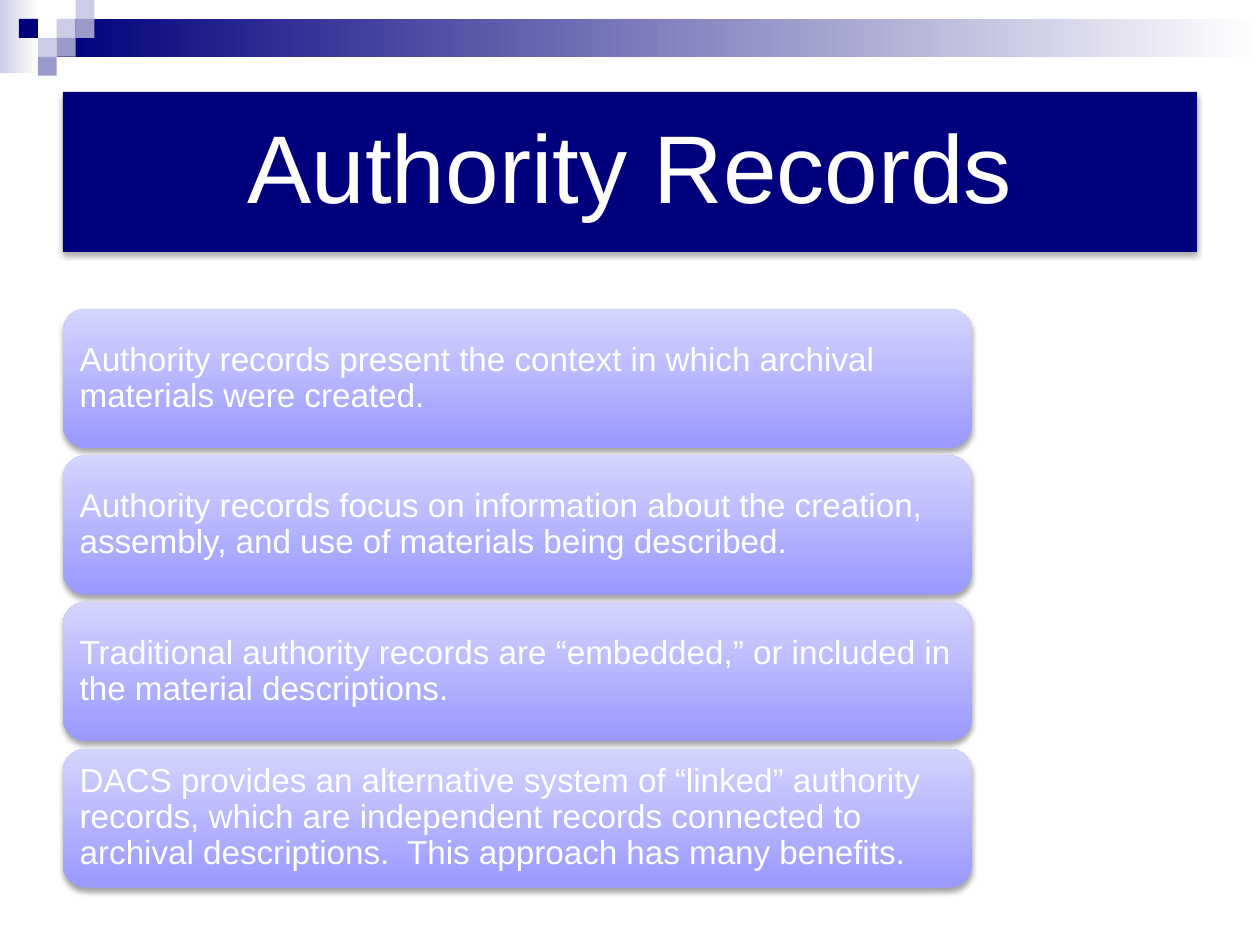
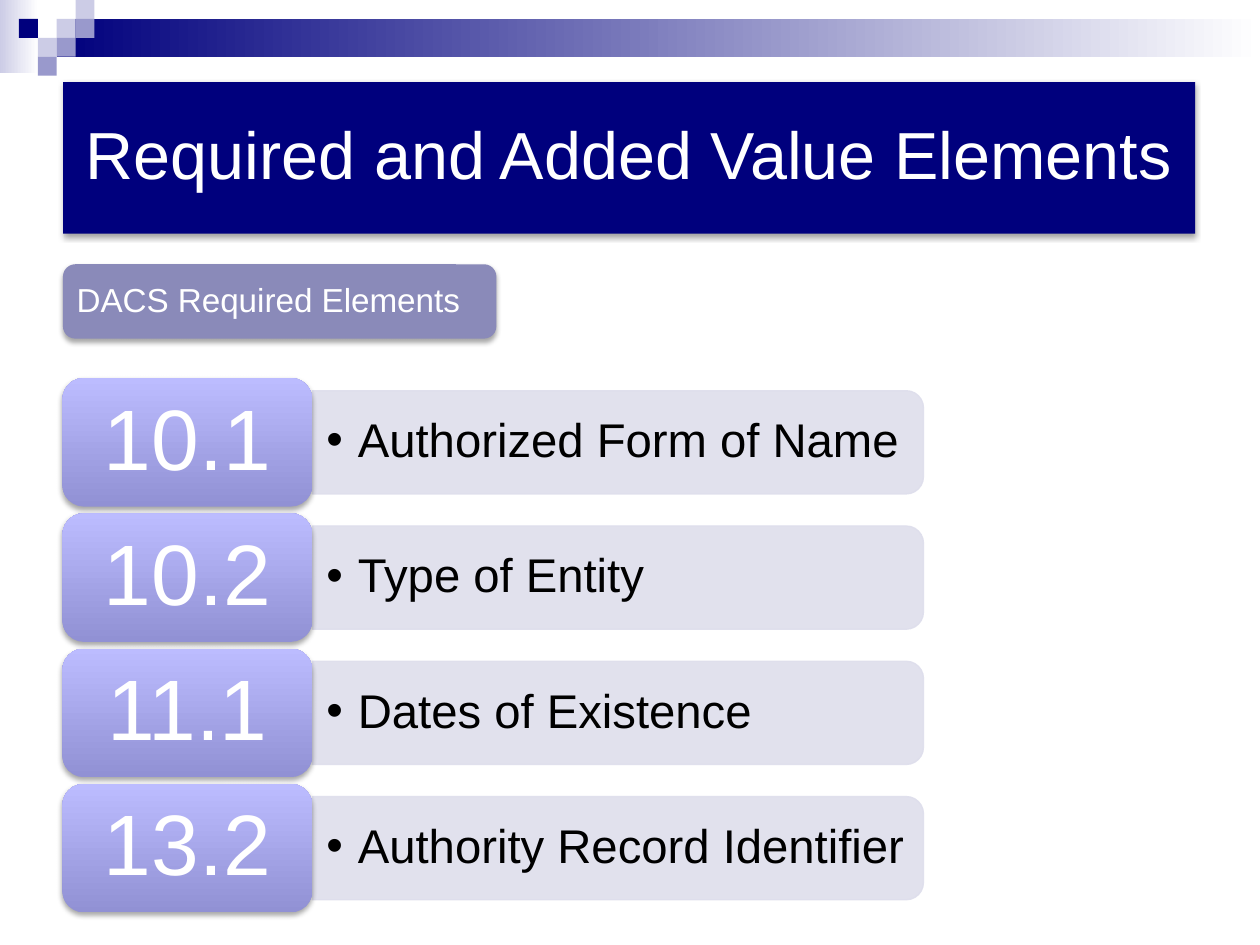
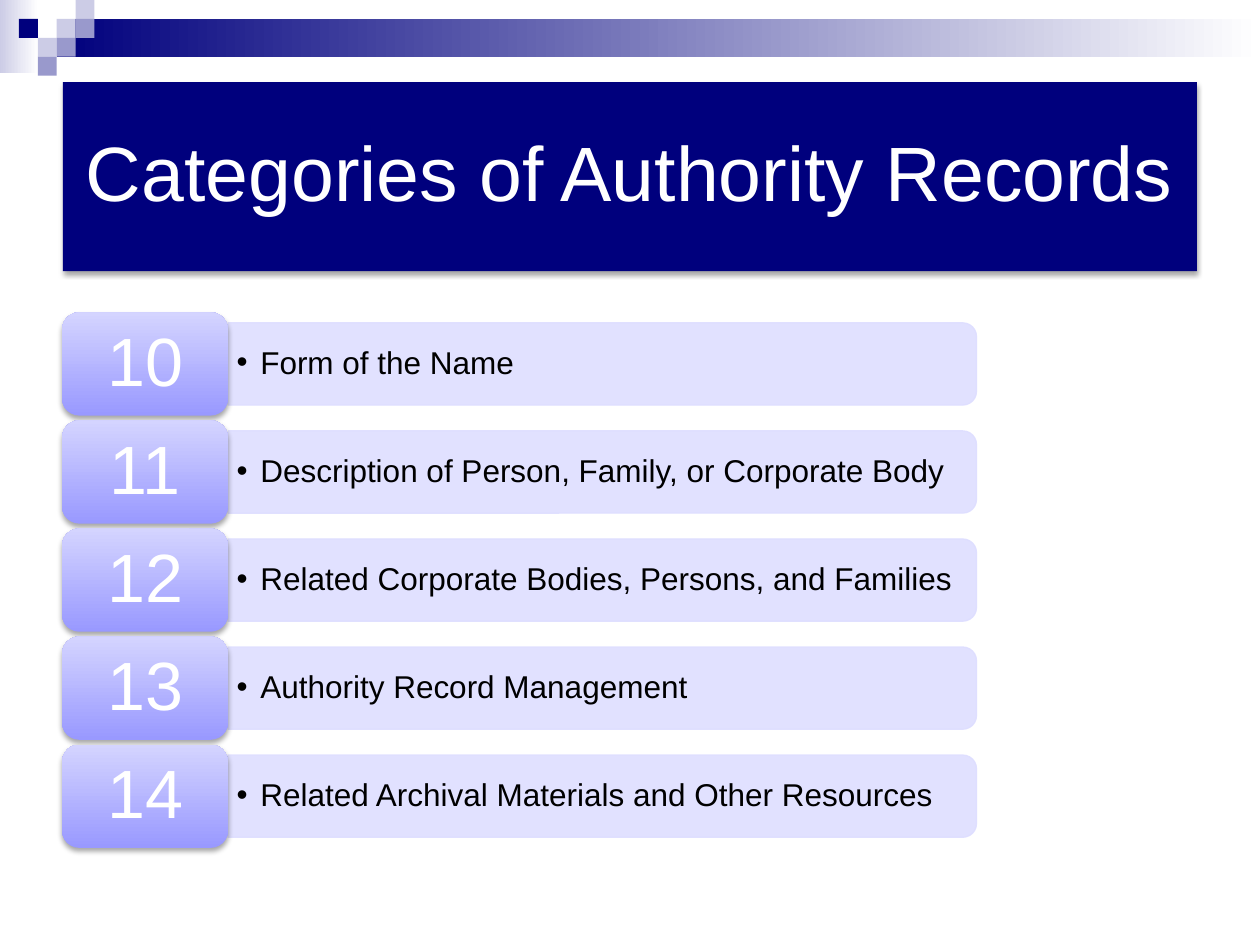
"""Builds three slides on authority records: cards and numbered lists under a banner."""
from lxml import etree
from pptx import Presentation
from pptx.dml.color import RGBColor
from pptx.enum.shapes import MSO_SHAPE
from pptx.enum.text import MSO_ANCHOR, PP_ALIGN
from pptx.oxml.ns import qn
from pptx.util import Pt

NAVY, WHITE, BLACK = "00007D", "FFFFFF", "000000"
MIST, STEEL, SLATE = "CCCCE6", "9999CC", "8A8AB9"
LILAC = ("9999FF", "D4D4FF")
DUSK = ("9191D4", "BCBCFF")
FONT = "Arial"
CELL = 10.8
CHECKERS = [(3, 1, MIST), (4, 0, MIST), (4, 1, STEEL), (2, 2, MIST),
            (1, 1, NAVY), (3, 2, STEEL), (2, 3, STEEL)]

CONTEXT = {
    "title": "Authority Records",
    "banner": (36, 52.5, 648, 91.5), "size": 55, "inset": 16.5,
    "cards": [
        "Authority records present the context in which archival materials were created.",
        "Authority records focus on information about the creation, assembly, and use of "
        "materials being described.",
        "Traditional authority records are “embedded,” or included in the material descriptions.",
        "DACS provides an alternative system of “linked” authority records, which are independent "
        "records connected to archival descriptions.  This approach has many benefits.",
    ],
}
REQUIRED = {
    "title": "Required and Added Value Elements",
    "banner": (36, 47, 647, 86.5), "size": 38, "inset": 11.5,
    "label": "DACS Required Elements",
    "rows": [("10.1", "Authorized Form of Name"), ("10.2", "Type of Entity"),
             ("11.1", "Dates of Existence"), ("13.2", "Authority Record Identifier")],
    "tile": (35.7, 216, 142.8, 73.5), "step": 77.3, "tile_fill": DUSK,
    "tile_size": 49, "tile_inset": (14, 7),
    "bar": (349.2, 59), "bar_fill": "DEDEEC",
    "bar_size": 27, "bar_inset": (8, 4), "indent": 18,
}
CATEGORIES = {
    "title": "Categories of Authority Records",
    "banner": (36, 47, 648, 108), "size": 44, "inset": 13,
    "rows": [("10", "Form of the Name"),
             ("11", "Description of Person, Family, or Corporate Body"),
             ("12", "Related Corporate Bodies, Persons, and Families"),
             ("13", "Authority Record Management"),
             ("14", "Related Archival Materials and Other Resources")],
    "tile": (35.5, 178.5, 94.8, 59), "step": 61.75, "tile_fill": LILAC,
    "tile_size": 39, "tile_inset": (11.5, 6),
    "bar": (427.7, 47), "bar_fill": "DEDEFF",
    "bar_size": 18, "bar_inset": (5, 3), "indent": 13.5,
}


def rgb(color):
    return RGBColor.from_string(color)


def add_child(parent, tag, **attributes):
    return etree.SubElement(parent, qn(tag), attributes)


def paint(shape, fill, angle):
    if isinstance(fill, str):
        shape.fill.solid()
        shape.fill.fore_color.rgb = rgb(fill)
        return
    shape.fill.gradient()
    shape.fill.gradient_angle = angle
    for stop, color, position in zip(shape.fill.gradient_stops, fill, (0, 1)):
        stop.color.rgb = rgb(color)
        stop.position = position


def add_block(slide, box, fill, kind=MSO_SHAPE.RECTANGLE, angle=90, shadow=False):
    block = slide.shapes.add_shape(kind, *map(Pt, box))
    block.shadow.inherit = False
    block.line.fill.background()
    paint(block, fill, angle)
    if shadow:
        effects = block.element.spPr.find(qn("a:effectLst"))
        outer = add_child(effects, "a:outerShdw", blurRad=str(Pt(3.1)), dist=str(Pt(1.8)),
                          dir="5400000", rotWithShape="0")
        add_child(add_child(outer, "a:srgbClr", val=BLACK), "a:alpha", val="35000")
    return block


def write(shape, text, size, inset, color=WHITE, align=PP_ALIGN.LEFT):
    frame = shape.text_frame
    frame.word_wrap = True
    frame.vertical_anchor = MSO_ANCHOR.MIDDLE
    frame.margin_left = frame.margin_right = Pt(inset[0])
    frame.margin_top = frame.margin_bottom = Pt(inset[1])
    paragraph = frame.paragraphs[0]
    paragraph.alignment = align
    paragraph.line_spacing = 0.9
    run = paragraph.add_run()
    run.text = text
    run.font.name = FONT
    run.font.size = Pt(size)
    run.font.color.rgb = rgb(color)
    return paragraph


def add_bullet(paragraph, indent):
    properties = paragraph._p.get_or_add_pPr()
    properties.set("marL", str(Pt(indent)))
    properties.set("indent", str(-Pt(indent)))
    add_child(properties, "a:buFont", typeface=FONT)
    add_child(properties, "a:buChar", char="•")


def add_bar(slide, left, middle, width, height, color):
    box = (left + (width - height) / 2, middle - width / 2, height, width)
    bar = add_block(slide, box, color, MSO_SHAPE.ROUND_2_SAME_RECTANGLE)
    bar.rotation = 90
    bar.line.color.rgb = rgb(color)
    bar.line.width = Pt(0.75)
    for tint in bar.element.spPr.iter(qn("a:srgbClr")):
        add_child(tint, "a:alpha", val="90000")


def add_cards(slide, cards):
    for index, text in enumerate(cards):
        card = add_block(slide, (36, 176.5 + index * 83.75, 519.3, 79.5), LILAC,
                         MSO_SHAPE.ROUNDED_RECTANGLE, shadow=True)
        write(card, text, 19, (5.7, 5.7))


def add_rows(slide, content):
    left, top, width, height = content["tile"]
    bar_width, bar_height = content["bar"]
    bar_left = left + width
    for index, (number, name) in enumerate(content["rows"]):
        tile_top = top + index * content["step"]
        middle = tile_top + height / 2
        add_bar(slide, bar_left, middle, bar_width, bar_height, content["bar_fill"])
        caption = slide.shapes.add_textbox(Pt(bar_left), Pt(middle - bar_height / 2),
                                           Pt(bar_width), Pt(bar_height))
        paragraph = write(caption, name, content["bar_size"], content["bar_inset"], BLACK)
        add_bullet(paragraph, content["indent"])
        tile = add_block(slide, (left, tile_top, width, height), content["tile_fill"],
                         MSO_SHAPE.ROUNDED_RECTANGLE, shadow=True)
        write(tile, number, content["tile_size"], content["tile_inset"], align=PP_ALIGN.CENTER)


def add_header(slide, content):
    add_block(slide, (0, 0, 22, 42), (MIST, WHITE), angle=0)
    add_block(slide, (3 * CELL, CELL, 720 - 3 * CELL, 2 * CELL), (NAVY, WHITE), angle=0)
    for column, row, color in CHECKERS:
        add_block(slide, (column * CELL, row * CELL, CELL, CELL), color)
    banner = add_block(slide, content["banner"], NAVY, shadow=True)
    write(banner, content["title"], content["size"], (content["inset"],) * 2,
          align=PP_ALIGN.CENTER)


def main():
    deck = Presentation()
    deck.slide_width, deck.slide_height = Pt(720), Pt(540)
    for content in (CONTEXT, REQUIRED, CATEGORIES):
        slide = deck.slides.add_slide(deck.slide_layouts[6])
        add_header(slide, content)
        if "cards" in content:
            add_cards(slide, content["cards"])
        if "label" in content:
            label = add_block(slide, (36, 151, 247.7, 42.5), SLATE,
                              MSO_SHAPE.ROUNDED_RECTANGLE, shadow=True)
            write(label, content["label"], 19, (5.7, 5.7))
        if "rows" in content:
            add_rows(slide, content)
    deck.save("out.pptx")


if __name__ == "__main__":
    main()
